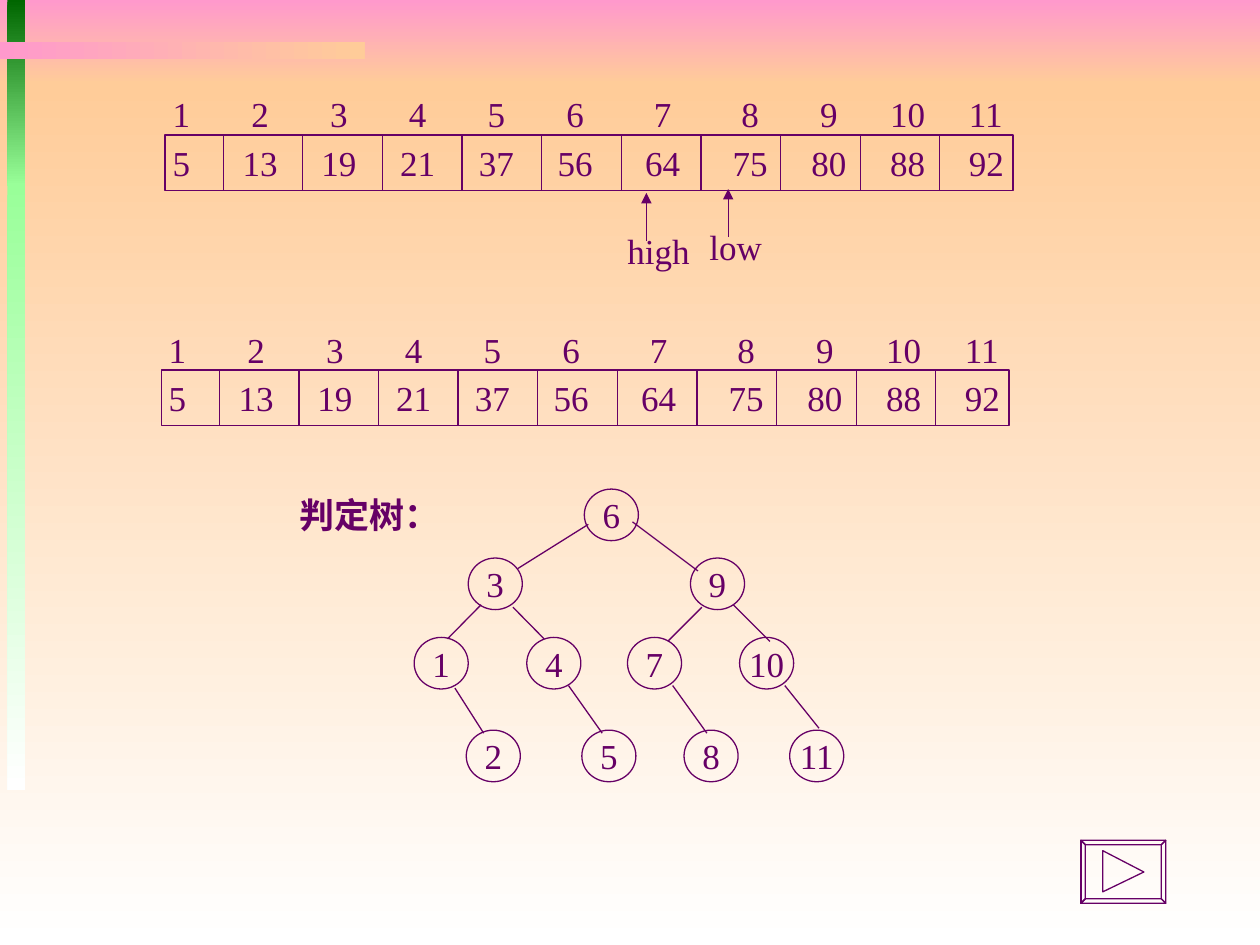
from lxml import etree
from pptx import Presentation
from pptx.dml.color import RGBColor
from pptx.enum import shapes, text
from pptx.oxml.ns import qn
from pptx.util import Cm, Pt

COLORS = {"ink": "660066", "pink": "FF99CC", "peach": "FFCC99",
          "white": "FFFFFF", "green": "006600", "mint": "99FF99"}
FONT = "Times New Roman"
CM_PER_POINT = 2.54 / 72

# Content; lengths in cm. Bands: left, top, width, height, two colours, angle
BANDS = [
    (0, 0, 25.4, 1.7, "pink", "peach", 270),
    (0, 1.7, 25.4, 17.35, "peach", "white", 270),
    (0.15, 0, 0.36, 3.75, "green", "mint", 270),
    (0.15, 3.7, 0.36, 12.22, "mint", "white", 270),
    (0, 0.85, 7.35, 0.35, "pink", "peach", 0),
]
INDICES = [str(index) for index in range(1, 12)]
VALUES = ["5", "13", "19", "21", "37", "56", "64", "75", "80", "88", "92"]
# Where each number starts, in points from the first one
INDEX_STARTS = [45, 90, 135, 180, 225, 275, 325, 370, 410, 455]
VALUE_STARTS = [40, 85, 130, 175, 220, 270, 320, 365, 410, 455]
ARRAYS = [(3.33, 2.72), (3.25, 7.46)]
ARRAY_WIDTH, ARRAY_HEIGHT = 17.09, 1.12
FIRST_DIVIDER, DIVIDER_STEP = 1.17, 1.605
POINTERS = [("low", 14.05, 4.42, 1.55), ("high", 12.4, 4.5, 1.75)]
TREE_TITLE = ("判定树：", 5.79, 9.83, 3.33)
NODE_WIDTH, NODE_HEIGHT = 1.09, 1.04
TREE_LEVELS = [  # top, then label and left of each node
    (9.86, [("6", 11.78)]),
    (11.25, [("3", 9.44), ("9", 13.92)]),
    (12.85, [("1", 8.35), ("4", 10.62), ("7", 12.65), ("10", 14.91)]),
    (14.72, [("2", 9.4), ("5", 11.73), ("8", 13.79), ("11", 15.92)]),
]
BRANCHES = [
    (11.86, 10.57, 10.44, 11.46), (12.75, 10.52, 14.07, 11.51),
    (9.7, 12.19, 9.02, 12.88), (10.34, 12.24, 10.97, 12.88),
    (14.15, 12.24, 13.46, 12.93), (14.78, 12.19, 15.52, 12.93),
    (9.17, 13.87, 9.75, 14.78), (11.46, 13.82, 12.14, 14.78),
    (13.56, 13.82, 14.25, 14.78), (15.82, 13.82, 16.51, 14.68),
]
BUTTON = (21.79, 16.94, 23.5, 18.21)
BUTTON_RIM = 0.09
BUTTON_ARROW = [(22.23, 17.15), (23.06, 17.58), (22.23, 17.98)]

presentation = Presentation()
presentation.slide_width, presentation.slide_height = Cm(25.4), Cm(19.05)
slide = presentation.slides.add_slide(presentation.slide_layouts[6])


def color(name):
    return RGBColor.from_string(COLORS[name])


def outline(shape):
    shape.shadow.inherit = False
    shape.fill.background()
    shape.line.color.rgb = color("ink")
    shape.line.width = Pt(0.75)


def add_outlined(kind, left, top, width, height):
    shape = slide.shapes.add_shape(kind, Cm(left), Cm(top), Cm(width), Cm(height))
    outline(shape)
    return shape


def write(shape, content, bold=None, centered=False, tabs=(), wrap=False):
    shape.text_frame.word_wrap = wrap
    paragraph = shape.text_frame.paragraphs[0]
    paragraph.alignment = text.PP_ALIGN.CENTER if centered else text.PP_ALIGN.LEFT
    if tabs:
        tab_list = etree.SubElement(paragraph._p.get_or_add_pPr(), qn("a:tabLst"))
        for start in tabs:
            etree.SubElement(tab_list, qn("a:tab"),
                             pos=str(Cm(start * CM_PER_POINT)), algn="l")
    run = paragraph.add_run()
    run.text = content
    run.font.name, run.font.size, run.font.bold = FONT, Pt(20), bold
    run.font.color.rgb = color("ink")


def add_label(content, left, top, width, **options):
    box = slide.shapes.add_textbox(Cm(left), Cm(top), Cm(width), Cm(1.12))
    box.text_frame.margin_right = 0  # leaves room for the text on one line
    write(box, content, wrap=True, **options)


def add_line(x1, y1, x2, y2, arrow=False):
    line = slide.shapes.add_connector(shapes.MSO_CONNECTOR.STRAIGHT,
                                      Cm(x1), Cm(y1), Cm(x2), Cm(y2))
    line.line.color.rgb = color("ink")
    line.line.width = Pt(0.75)
    if arrow:
        etree.SubElement(line.line._get_or_add_ln(), qn("a:tailEnd"), type="triangle")
    etree.SubElement(line._element.spPr, qn("a:effectLst"))


# Background bands
for left, top, width, height, first, last, angle in BANDS:
    band = add_outlined(shapes.MSO_SHAPE.RECTANGLE, left, top, width, height)
    band.line.fill.background()
    band.fill.gradient()
    band.fill.gradient_angle = angle
    for stop, name in zip(band.fill.gradient_stops, (first, last)):
        stop.color.rgb = color(name)

# Arrays with their indices above
for left, top in ARRAYS:
    add_label("\t".join(INDICES), left - 0.1, top - 0.97, 17.3, tabs=INDEX_STARTS)
    array = add_outlined(shapes.MSO_SHAPE.RECTANGLE, left, top, ARRAY_WIDTH, ARRAY_HEIGHT)
    array.text_frame.margin_left, array.text_frame.margin_right = Cm(0.15), 0
    array.text_frame.vertical_anchor = text.MSO_ANCHOR.MIDDLE
    write(array, "\t".join(VALUES), tabs=VALUE_STARTS, wrap=True)
    for number in range(len(VALUES) - 1):
        x = left + FIRST_DIVIDER + number * DIVIDER_STEP
        add_line(x, top, x, top + ARRAY_HEIGHT)

# Pointers into the first array
for name, left, top, width in POINTERS:
    add_line(left + 0.63, top + 0.36, left + 0.63, top - 0.61, arrow=True)
    add_label(name, left, top, width)

# Decision tree
add_label(*TREE_TITLE, bold=True)
for top, nodes in TREE_LEVELS:
    for name, left in nodes:
        node = add_outlined(shapes.MSO_SHAPE.OVAL, left, top, NODE_WIDTH, NODE_HEIGHT)
        node.text_frame.vertical_anchor = text.MSO_ANCHOR.MIDDLE
        write(node, name, centered=True)
for branch in BRANCHES:
    add_line(*branch)

# Forward button: frame, four rim faces and arrow
left, top, right, bottom = BUTTON
outer = [(left, top), (right, top), (right, bottom), (left, bottom)]
inner = [(left + BUTTON_RIM, top + BUTTON_RIM), (right - BUTTON_RIM, top + BUTTON_RIM),
         (right - BUTTON_RIM, bottom - BUTTON_RIM), (left + BUTTON_RIM, bottom - BUTTON_RIM)]
faces = [[outer[i], outer[(i + 1) % 4], inner[(i + 1) % 4], inner[i]] for i in range(4)]
builder = slide.shapes.build_freeform(Cm(left), Cm(top))
for contour in [outer, *faces, BUTTON_ARROW]:
    points = [(Cm(x), Cm(y)) for x, y in contour]
    builder.move_to(*points[0])
    builder.add_line_segments(points[1:], close=True)
outline(builder.convert_to_shape())

presentation.save("out.pptx")
